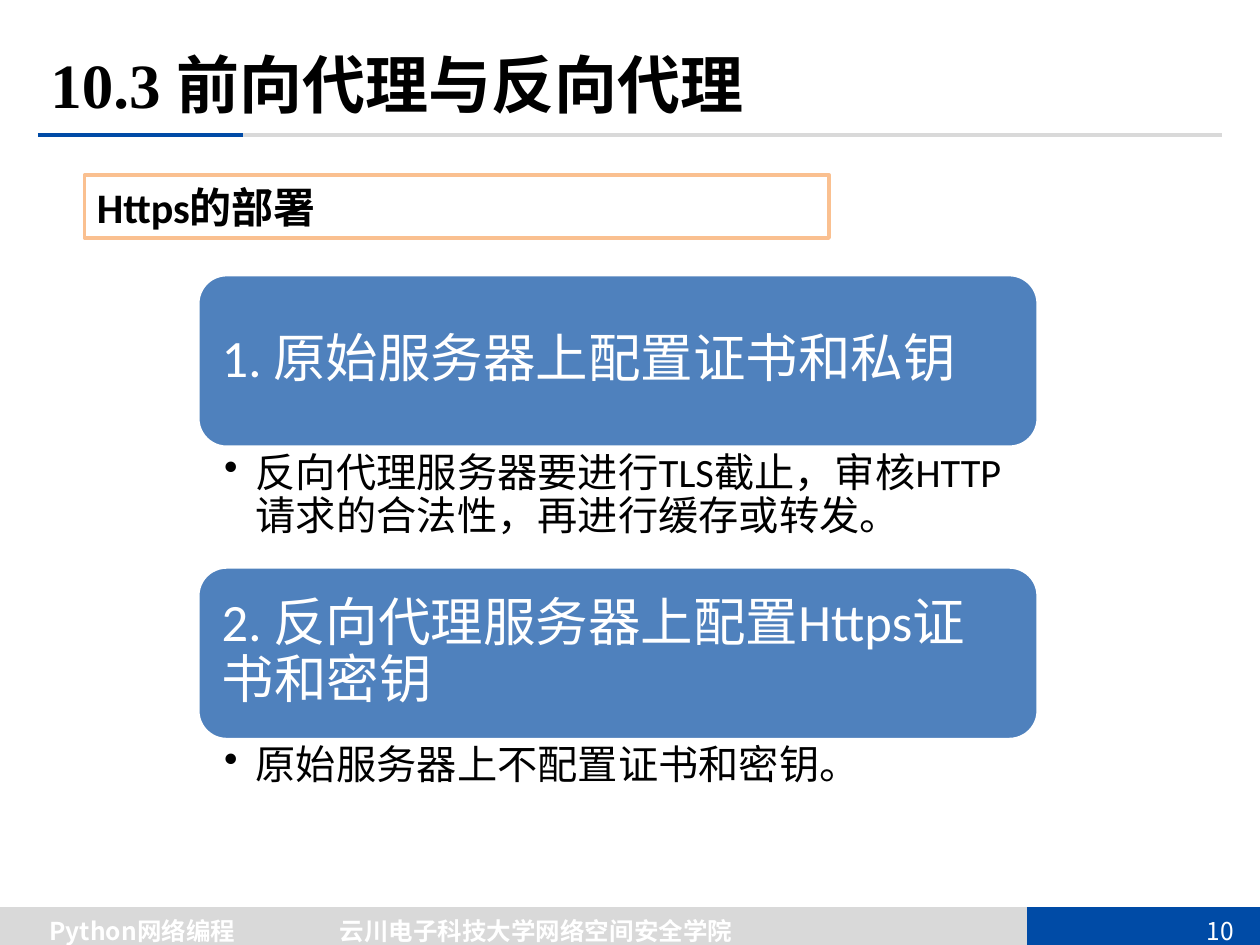
from lxml import etree
from pptx import Presentation
from pptx.dml.color import RGBColor
from pptx.enum.shapes import MSO_CONNECTOR, MSO_SHAPE
from pptx.enum.text import MSO_ANCHOR, PP_ALIGN
from pptx.oxml.ns import qn
from pptx.util import Inches, Pt

STRAIGHT = MSO_CONNECTOR.STRAIGHT
RECTANGLE, ROUNDED = MSO_SHAPE.RECTANGLE, MSO_SHAPE.ROUNDED_RECTANGLE
TOP, MIDDLE = MSO_ANCHOR.TOP, MSO_ANCHOR.MIDDLE
LEFT, CENTER = PP_ALIGN.LEFT, PP_ALIGN.CENTER

WHITE = RGBColor(0xFF, 0xFF, 0xFF)
BLACK = RGBColor(0x00, 0x00, 0x00)
GRAY = RGBColor(0xD9, 0xD9, 0xD9)
NAVY = RGBColor(0x00, 0x4B, 0xA6)
BLUE = RGBColor(0x4F, 0x81, 0xBD)
ORANGE = RGBColor(0xFA, 0xC0, 0x90)

BODY_FONT, TITLE_FONT, FOOTER_FONT = "Calibri", "Times New Roman", "Noto Sans CJK SC"

SECTIONS = [
    ("1. 原始服务器上配置证书和私钥",
     "反向代理服务器要进行TLS截止，审核HTTP请求的合法性，再进行缓存或转发。", 2.18, 0.95),
    ("2. 反向代理服务器上配置Https证书和密钥",
     "原始服务器上不配置证书和密钥。", 4.5, 0.59),
]
SECTION_LEFT, SECTION_WIDTH, HEADING_HEIGHT, INSET = 1.57, 6.67, 1.37, 0.07
FOOTERS = [
    ("Python网络编程", -0.04, 2.34, True),
    ("10", 9.41, 0.55, False),
    ("云川电子科技大学网络空间安全学院", 2.01, 4.49, True),
]


def add_line(slide, left, right, y, color, width):
    """Draw a horizontal line without a shadow."""
    line = slide.shapes.add_connector(STRAIGHT, Inches(left), Inches(y), Inches(right), Inches(y))
    line.line.color.rgb = color
    line.line.width = Pt(width)
    etree.SubElement(line._element.spPr, qn("a:effectLst"))


def add_panel(slide, kind, box, fill, outline):
    """Add a filled and outlined shape."""
    shape = slide.shapes.add_shape(kind, *map(Inches, box))
    shape.shadow.inherit = False
    shape.fill.solid()
    shape.fill.fore_color.rgb = fill
    shape.line.color.rgb = outline
    shape.line.width = Pt(2)
    return shape


def write_text(shape, text, size, color, font=BODY_FONT, bold=False,
               align=LEFT, anchor=MIDDLE, margins=(0.1, 0.05, 0.1, 0.05)):
    """Write one styled paragraph into a shape and return it."""
    frame = shape.text_frame
    frame.word_wrap = True
    frame.vertical_anchor = anchor
    (frame.margin_left, frame.margin_top,
     frame.margin_right, frame.margin_bottom) = map(Inches, margins)
    paragraph = frame.paragraphs[0]
    paragraph.text = text
    paragraph.alignment = align
    paragraph.font.name = font
    paragraph.font.size = Pt(size)
    paragraph.font.bold = bold
    paragraph.font.color.rgb = color
    return paragraph


def add_text(slide, box, text, size, color, **style):
    """Add a text box holding one paragraph."""
    return write_text(slide.shapes.add_textbox(*map(Inches, box)), text, size, color, **style)


def add_bullet(paragraph):
    """Give a paragraph a hanging bullet."""
    properties = paragraph._p.get_or_add_pPr()
    properties.set("marL", str(Inches(0.25)))
    properties.set("indent", str(-Inches(0.25)))
    bullet = etree.Element(qn("a:buChar"), char="•")
    properties.find(qn("a:defRPr")).addprevious(bullet)


def add_section(slide, heading, detail, top, detail_height):
    """Add a rounded heading panel with its bullet below."""
    add_panel(slide, ROUNDED, (SECTION_LEFT, top, SECTION_WIDTH, HEADING_HEIGHT), BLUE, WHITE)
    heading_box = (SECTION_LEFT + INSET, top + INSET,
                   SECTION_WIDTH - 2 * INSET, HEADING_HEIGHT - 2 * INSET)
    paragraph = add_text(slide, heading_box, heading, 30, WHITE, margins=(0.12,) * 4)
    paragraph.line_spacing = 0.9
    detail_box = (SECTION_LEFT, top + HEADING_HEIGHT, SECTION_WIDTH, detail_height)
    paragraph = add_text(slide, detail_box, detail, 23, BLACK, anchor=TOP,
                         margins=(0.21, 0.04, 0.23, 0.04))
    paragraph.line_spacing = 0.9
    add_bullet(paragraph)


def main():
    """Build and save the slide."""
    presentation = Presentation()
    presentation.slide_width, presentation.slide_height = Inches(10), Inches(7.5)
    slide = presentation.slides.add_slide(presentation.slide_layouts[5])
    add_line(slide, 0, 9.96, 7.37, GRAY, 25)
    add_line(slide, 8.15, 10, 7.37, NAVY, 25)
    add_line(slide, 0.3, 9.7, 1.07, GRAY, 2.25)
    add_line(slide, 0.3, 1.93, 1.07, NAVY, 2.25)
    for text, left, width, bold in FOOTERS:
        add_text(slide, (left, 7.22, width, 0.34), text, 14, WHITE,
                 font=FOOTER_FONT, bold=bold, align=CENTER)
    title = slide.shapes.title
    title.left, title.top, title.width, title.height = map(Inches, (0.3, 0.28, 9.2, 0.77))
    write_text(title, "10.3 前向代理与反向代理", 36, BLACK, font=TITLE_FONT, bold=True)
    for section in SECTIONS:
        add_section(slide, *section)
    topic = add_panel(slide, RECTANGLE, (0.67, 1.39, 5.91, 0.5), WHITE, ORANGE)
    write_text(topic, "Https的部署", 24, BLACK, bold=True, anchor=TOP)
    presentation.save("out.pptx")


if __name__ == "__main__":
    main()
